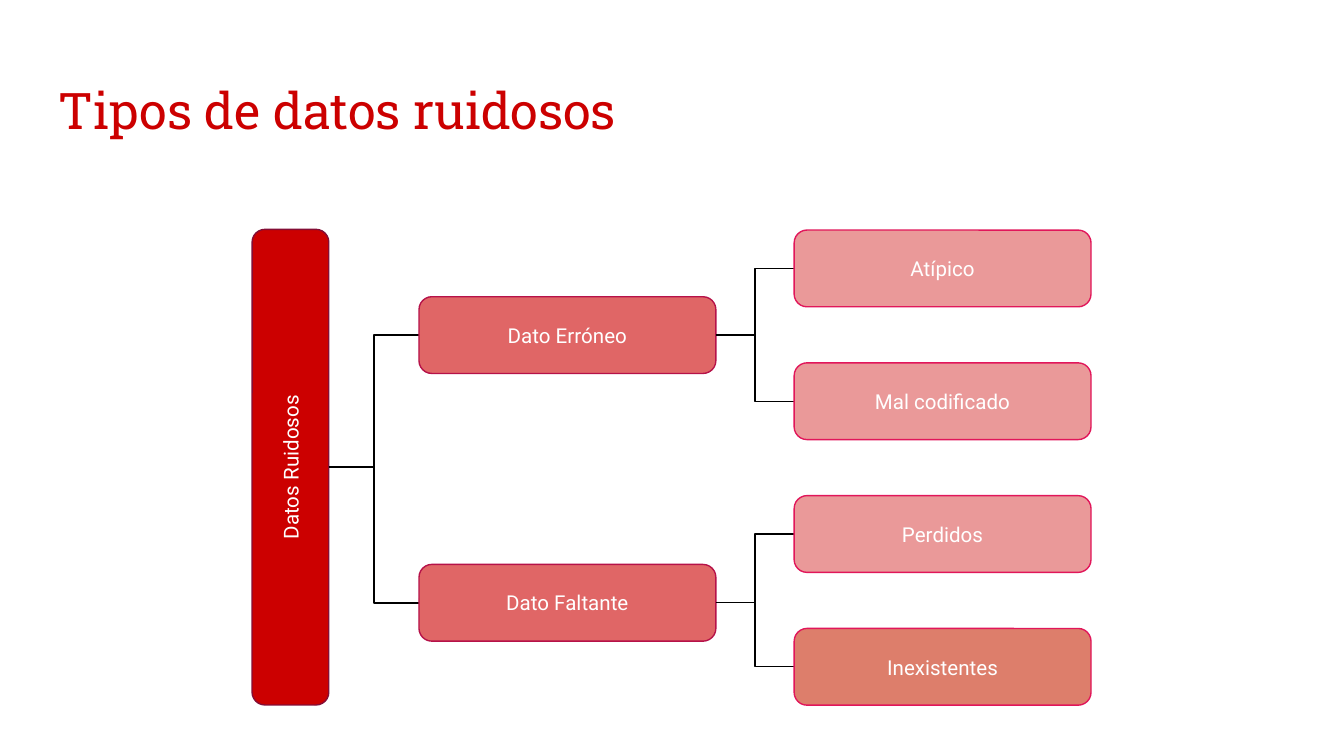
"""Build a slide with a tree of the types of noisy data."""
import pptx
import pptx.dml.color
import pptx.enum.shapes
import pptx.enum.text
import pptx.oxml
import pptx.oxml.ns
import pptx.util

Cm = pptx.util.Cm
Pt = pptx.util.Pt
RGBColor = pptx.dml.color.RGBColor

RED = RGBColor(0xCC, 0x00, 0x00)
CORAL = RGBColor(0xE0, 0x66, 0x66)
PINK = RGBColor(0xEA, 0x99, 0x99)
CLAY = RGBColor(0xDD, 0x7E, 0x6B)
ROOT_EDGE = RGBColor(0x84, 0x0D, 0x35)
BRANCH_EDGE = RGBColor(0xB6, 0x12, 0x49)
LEAF_EDGE = RGBColor(0xE1, 0x16, 0x5A)
WHITE = RGBColor(0xFF, 0xFF, 0xFF)
BLACK = RGBColor(0x00, 0x00, 0x00)

NODE_WIDTH, NODE_HEIGHT = 5.61, 1.45
ROOT_LENGTH, ROOT_X, ROOT_Y = 8.99, 5.49, 8.83
BRANCH_LEFT, LEAF_LEFT = 7.92, 15.01
LEAF_TOP, LEAF_PITCH = 4.35, 2.51
INSET = Cm(0.25)

TREE = [
    ("Dato Erróneo", 5.61, [("Atípico", PINK), ("Mal codificado", PINK)]),
    ("Dato Faltante", 10.67, [("Perdidos", PINK), ("Inexistentes", CLAY)]),
]

prs = pptx.Presentation()
prs.slide_width, prs.slide_height = Cm(25.4), Cm(14.29)
slide = prs.slides.add_slide(prs.slide_layouts[5])


def add_node(label, left, top, width, fill, edge):
    node = slide.shapes.add_shape(
        pptx.enum.shapes.MSO_SHAPE.ROUNDED_RECTANGLE,
        Cm(left), Cm(top), Cm(width), Cm(NODE_HEIGHT))
    node.shadow.inherit = False
    node.fill.solid()
    node.fill.fore_color.rgb = fill
    node.line.color.rgb = edge
    node.line.width = Pt(0.75)
    frame = node.text_frame
    frame.word_wrap = True
    frame.vertical_anchor = pptx.enum.text.MSO_ANCHOR.MIDDLE
    frame.margin_left = frame.margin_right = INSET
    frame.margin_top = frame.margin_bottom = INSET
    paragraph = frame.paragraphs[0]
    paragraph.alignment = pptx.enum.text.PP_ALIGN.CENTER
    run = paragraph.add_run()
    run.text = label
    run.font.name = "Roboto"
    run.font.size = Pt(11)
    run.font.color.rgb = WHITE
    return node


def add_link(from_x, from_y, to_x, to_y):
    link = slide.shapes.add_connector(
        pptx.enum.shapes.MSO_CONNECTOR.ELBOW,
        Cm(from_x), Cm(from_y), Cm(to_x), Cm(to_y))
    link.line.color.rgb = BLACK
    link.line.width = Pt(0.75)
    link._element.spPr.append(pptx.oxml.parse_xml(
        f"<a:effectLst {pptx.oxml.ns.nsdecls('a')}/>"))


heading = slide.shapes.title
heading.left, heading.top = Cm(0.86), Cm(1.24)
heading.width, heading.height = Cm(23.67), Cm(1.6)
heading_frame = heading.text_frame
heading_frame.word_wrap = True
heading_frame.auto_size = pptx.enum.text.MSO_AUTO_SIZE.NONE
heading_frame.vertical_anchor = pptx.enum.text.MSO_ANCHOR.TOP
heading_frame.margin_left = heading_frame.margin_right = INSET
heading_frame.margin_top = heading_frame.margin_bottom = INSET
heading_frame.paragraphs[0].alignment = pptx.enum.text.PP_ALIGN.LEFT
heading_run = heading_frame.paragraphs[0].add_run()
heading_run.text = "Tipos de datos ruidosos"
heading_run.font.name = "Roboto Slab"
heading_run.font.size = Pt(27)
heading_run.font.color.rgb = RED

root = add_node("Datos Ruidosos", ROOT_X - ROOT_LENGTH / 2,
                ROOT_Y - NODE_HEIGHT / 2, ROOT_LENGTH, RED, ROOT_EDGE)
root.rotation = 270

leaf_top = LEAF_TOP
for branch, branch_top, leaves in TREE:
    branch_y = branch_top + NODE_HEIGHT / 2
    add_link(ROOT_X + NODE_HEIGHT / 2, ROOT_Y, BRANCH_LEFT, branch_y)
    add_node(branch, BRANCH_LEFT, branch_top, NODE_WIDTH, CORAL, BRANCH_EDGE)
    for leaf, leaf_fill in leaves:
        add_link(BRANCH_LEFT + NODE_WIDTH, branch_y,
                 LEAF_LEFT, leaf_top + NODE_HEIGHT / 2)
        add_node(leaf, LEAF_LEFT, leaf_top, NODE_WIDTH, leaf_fill, LEAF_EDGE)
        leaf_top += LEAF_PITCH

prs.save("out.pptx")
